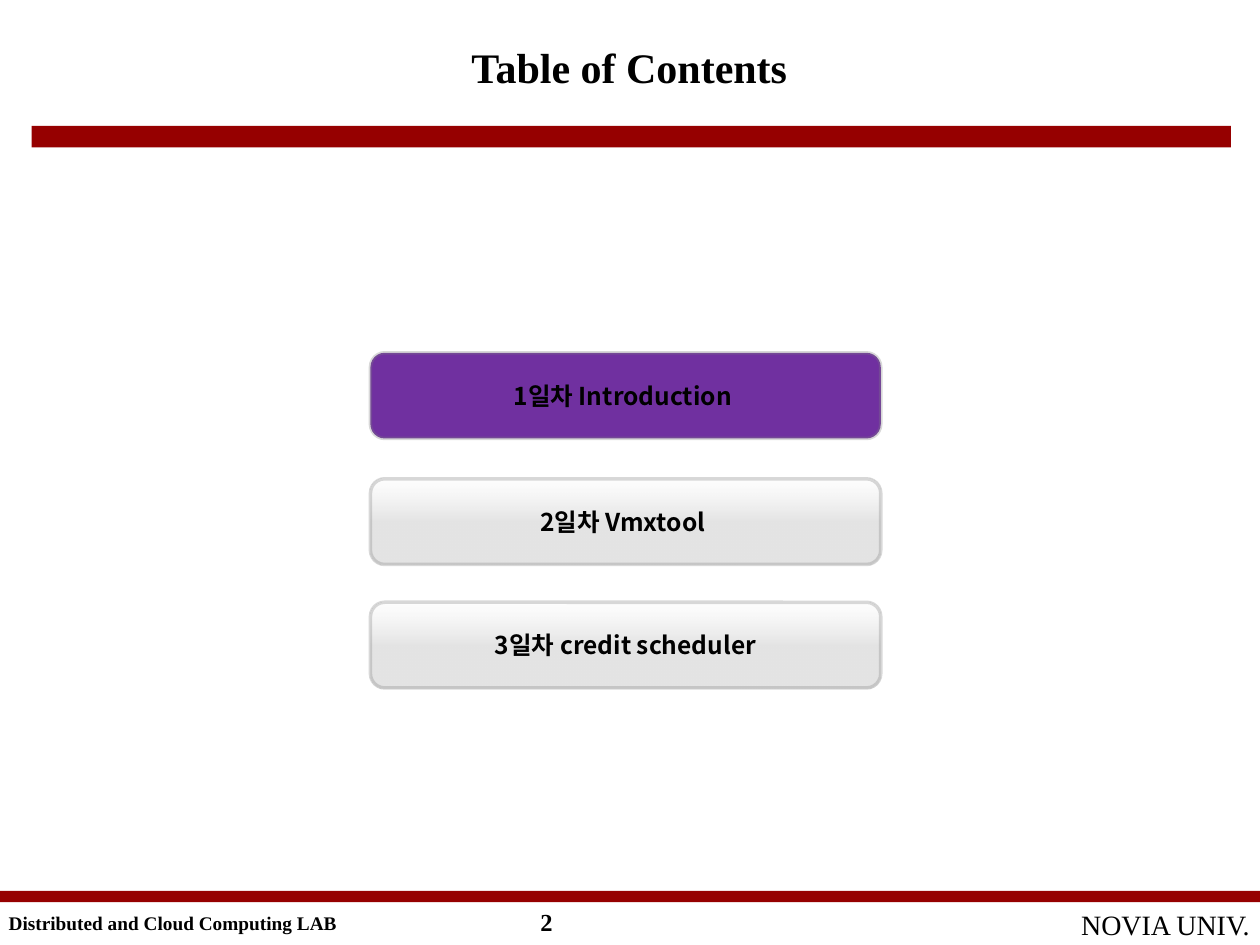
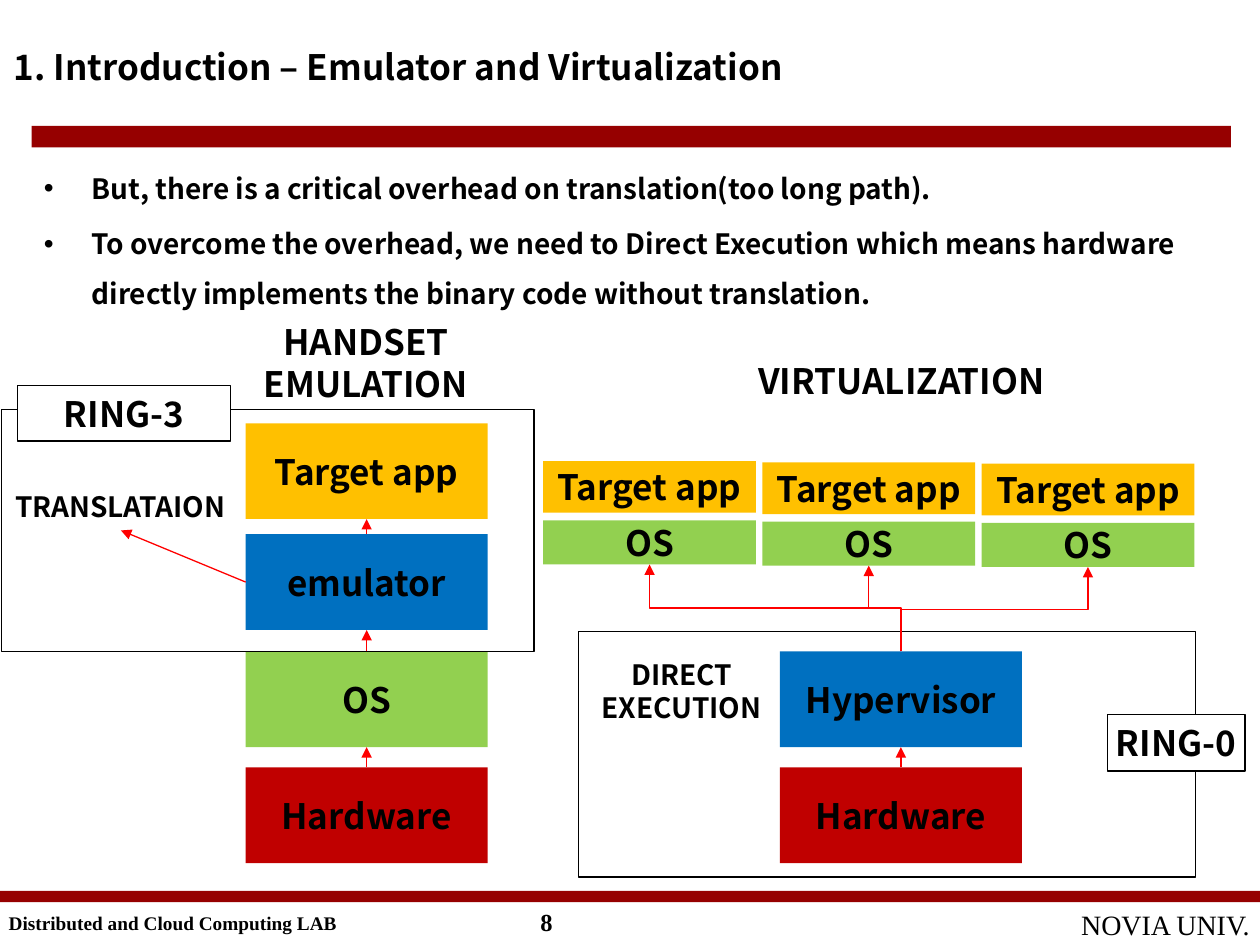
from dataclasses import dataclass

from lxml.etree import SubElement
from pptx import Presentation
from pptx.dml.color import RGBColor
from pptx.enum.shapes import MSO_CONNECTOR as Link, MSO_SHAPE as Shape
from pptx.enum.text import MSO_ANCHOR as Anchor, PP_ALIGN as Align
from pptx.oxml.ns import qn
from pptx.util import Inches, Pt


@dataclass(frozen=True)
class Theme:
    # Colours
    band: str = "960000"
    ink: str = "000000"
    paper: str = "FFFFFF"
    current: str = "7030A0"
    silver: str = "D9D9D9"
    edge: str = "808080"
    arrow: str = "FF0000"
    app: str = "FFC000"
    monitor: str = "0070C0"
    system: str = "92D050"
    hardware: str = "C00000"
    # Fonts and type sizes
    sans: str = "Noto Sans CJK KR"
    serif: str = "Times New Roman"
    contents_title: int = 24
    heading: int = 20
    body: int = 16
    entry: int = 14
    lab: int = 11
    line_height: float = 1.19


def rgb(code):
    return RGBColor.from_string(code)


class Deck:
    def __init__(self, theme):
        self.theme = theme
        self.prs = Presentation()
        self.prs.slide_width, self.prs.slide_height = Inches(10), Inches(7.5)
        self.slide = None

    def new_slide(self, number):
        """Start a slide with its bands and footer."""
        t = self.theme
        self.slide = self.prs.slides.add_slide(self.prs.slide_layouts[6])
        self.box(0, 7.07, 10, 0.09, fill=t.band)
        self.box(0.25, 1, 9.52, 0.17, fill=t.band)
        self.text("NOVIA UNIV.", 8.26, 7.15, 1.98, 0.37, t.body, t.serif,
                  bold=False, align=Align.CENTER)
        self.text(str(number), 4.19, 7.15, 1.73, 0.36, t.entry, t.serif)
        self.text("Distributed and Cloud Computing LAB",
                  -0.03, 7.18, 4.11, 0.32, t.lab, t.serif)

    def style(self, paragraph, size, font, bold=True, align=Align.LEFT):
        paragraph.alignment = align
        for run in paragraph.runs:
            run.font.size, run.font.name, run.font.bold = Pt(size), font, bold
            run.font.color.rgb = rgb(self.theme.ink)
            SubElement(run.font._element, qn("a:ea"), typeface=font)

    def text(self, words, x, y, w, h, size, font=None, bold=True,
             align=Align.LEFT, anchor=Anchor.TOP, wrap=True):
        frame = self.slide.shapes.add_textbox(
            Inches(x), Inches(y), Inches(w), Inches(h)).text_frame
        frame.word_wrap, frame.vertical_anchor = wrap, anchor
        frame.text = words
        self.style(frame.paragraphs[0], size, font or self.theme.sans, bold, align)
        return frame

    def label(self, words, x, y, w, h, size):
        """Centred caption with tight lines."""
        frame = self.text(words, x, y, w, h, size, align=Align.CENTER)
        frame.paragraphs[0].line_spacing = Pt(size * self.theme.line_height)

    def bullets(self, points, x, y, w, h):
        t = self.theme
        frame = self.text("\n".join(points), x, y, w, h, t.body)
        for paragraph in frame.paragraphs:
            self.style(paragraph, t.body, t.sans)
            paragraph.line_spacing = Pt(t.body * t.line_height * 1.5)
            paragraph.space_before = Pt(t.body * 0.2)
            props = paragraph._p.get_or_add_pPr()
            props.set("marL", str(Inches(0.38)))
            props.set("indent", str(-Inches(0.38)))
            SubElement(props, qn("a:buFont"), typeface="Arial")
            SubElement(props, qn("a:buChar"), char="•")

    def box(self, x, y, w, h, words="", fill=None, line=None, weight=0.75,
            size=None, kind=Shape.RECTANGLE, wrap=False):
        shape = self.slide.shapes.add_shape(
            kind, Inches(x), Inches(y), Inches(w), Inches(h))
        shape.shadow.inherit = False
        if fill:
            shape.fill.solid()
            shape.fill.fore_color.rgb = rgb(fill)
        else:
            shape.fill.background()
        if line:
            shape.line.color.rgb = rgb(line)
            shape.line.width = Pt(weight)
        else:
            shape.line.fill.background()
        if words:
            frame = shape.text_frame
            frame.word_wrap, frame.vertical_anchor = wrap, Anchor.MIDDLE
            frame.text = words
            self.style(frame.paragraphs[0], size or self.theme.heading,
                       self.theme.sans, align=Align.CENTER)
        return shape

    def button(self, words, y, current):
        """Contents entry: purple when current, else a silver gradient."""
        t = self.theme
        shape = self.box(2.94, y, 4.05, 0.68, words, t.current, t.edge, 2,
                         t.entry, Shape.ROUNDED_RECTANGLE, wrap=True)
        opacities = [100, 30]
        if not current:
            shape.fill.gradient()
            shape.fill.gradient_angle = 270
            for stop, colour, place in zip(shape.fill.gradient_stops,
                                           (t.paper, t.silver), (0, 0.5)):
                stop.color.rgb, stop.position = rgb(colour), place
            opacities = [50, 70, 30]
        colours = list(shape._element.spPr.iter(qn("a:srgbClr")))
        for colour, opacity in zip(colours, opacities):
            SubElement(colour, qn("a:alpha"), val=str(opacity * 1000))

    def arrow(self, x1, y1, x2, y2, kind=Link.STRAIGHT):
        link = self.slide.shapes.add_connector(
            kind, Inches(x1), Inches(y1), Inches(x2), Inches(y2))
        link.line.color.rgb = rgb(self.theme.arrow)
        link.line.width = Pt(0.75)
        SubElement(link.line._get_or_add_ln(), qn("a:tailEnd"), type="triangle")
        SubElement(link._element.spPr, qn("a:effectLst"))
        return link

    def elbow_up(self, x1, y1, x2, y2):
        """Elbow that leaves upwards: a sideways one turned by 270 degrees."""
        mid_x, mid_y = (x1 + x2) / 2, (y1 + y2) / 2
        half_rise, half_run = (y1 - y2) / 2, (x2 - x1) / 2
        link = self.arrow(mid_x - half_rise, mid_y - half_run,
                          mid_x + half_rise, mid_y + half_run, Link.ELBOW)
        link._element.spPr.find(qn("a:xfrm")).set("rot", str(270 * 60000))


def contents_slide(deck):
    t = deck.theme
    deck.new_slide(2)
    deck.text("Table of Contents", 3.63, 0.28, 2.73, 0.5, t.contents_title,
              t.serif, align=Align.CENTER, wrap=False)
    entries = (("1일차 Introduction ", 2.8), ("2일차 Vmxtool ", 3.8),
               ("3일차 credit scheduler", 4.78))
    for index, (entry, top) in enumerate(entries):
        deck.button(entry, top, current=index == 0)


def virtualization_slide(deck):
    t = deck.theme
    deck.new_slide(8)
    deck.text("1. Introduction – Emulator and Virtualization",
              0.01, 0.01, 10, 1.04, t.heading, anchor=Anchor.MIDDLE)
    deck.bullets((
        "But, there is a critical overhead on translation(too long path).",
        "To overcome the overhead, we need to Direct Execution which means "
        "hardware directly implements the binary code without translation.",
    ), 0.25, 1.18, 9.53, 5.67)

    # Layer stacks
    layer_w, layer_h = 1.92, 0.76
    emulation_x, hypervisor_x = 1.95, 6.19
    system_y, hardware_y = 5.17, 6.09
    for x, y, layer, colour in (
            (emulation_x, 3.36, "Target app", t.app),
            (emulation_x, 4.24, "emulator", t.monitor),
            (emulation_x, system_y, "OS", t.system),
            (emulation_x, hardware_y, "Hardware", t.hardware),
            (hypervisor_x, system_y, "Hypervisor", t.monitor),
            (hypervisor_x, hardware_y, "Hardware", t.hardware)):
        deck.box(x, y, layer_w, layer_h, layer, colour)

    # Captions
    deck.label("TRANSLATAION", -0.38, 3.84, 2.67, 0.37, t.body)
    deck.label("DIRECT EXECUTION", 4.38, 5.17, 2.06, 0.64, t.body)
    deck.label("HANDSET EMULATION", 1.57, 2.5, 2.67, 0.77, t.heading)
    deck.label("VIRTUALIZATION", 5.82, 2.81, 2.67, 0.44, t.heading)

    # Privilege rings
    deck.box(0.01, 3.25, 4.23, 1.92, line=t.ink)
    deck.box(4.59, 5.01, 4.9, 1.95, line=t.ink)
    deck.box(0.14, 3.06, 1.69, 0.44, "RING-3", t.paper, t.ink)
    deck.box(8.79, 5.67, 1.09, 0.45, "RING-0", t.paper, t.ink)
    deck.arrow(emulation_x, 4.62, 0.96, 4.21)

    # Guest machines, each reached from the hypervisor
    guest_w = 1.69
    hypervisor_mid = hypervisor_x + layer_w / 2
    for guest in range(3):
        x = 4.31 + 1.74 * guest
        os_y = 4.13 + 0.01 * guest
        deck.box(x, os_y, guest_w, 0.35, "OS", t.system)
        deck.box(x, os_y - 0.47, guest_w, 0.41, "Target app", t.app)
        deck.elbow_up(hypervisor_mid, system_y, x + guest_w / 2, os_y + 0.35)

    # Arrows between layers
    emulation_mid = emulation_x + layer_w / 2
    for x, start, end in ((emulation_mid, 4.24, 4.12),
                          (emulation_mid, system_y, 5),
                          (emulation_mid, hardware_y, 5.93),
                          (hypervisor_mid, hardware_y, 5.93)):
        deck.arrow(x, start, x, end)


def main():
    deck = Deck(Theme())
    contents_slide(deck)
    virtualization_slide(deck)
    deck.prs.save("out.pptx")


if __name__ == "__main__":
    main()
